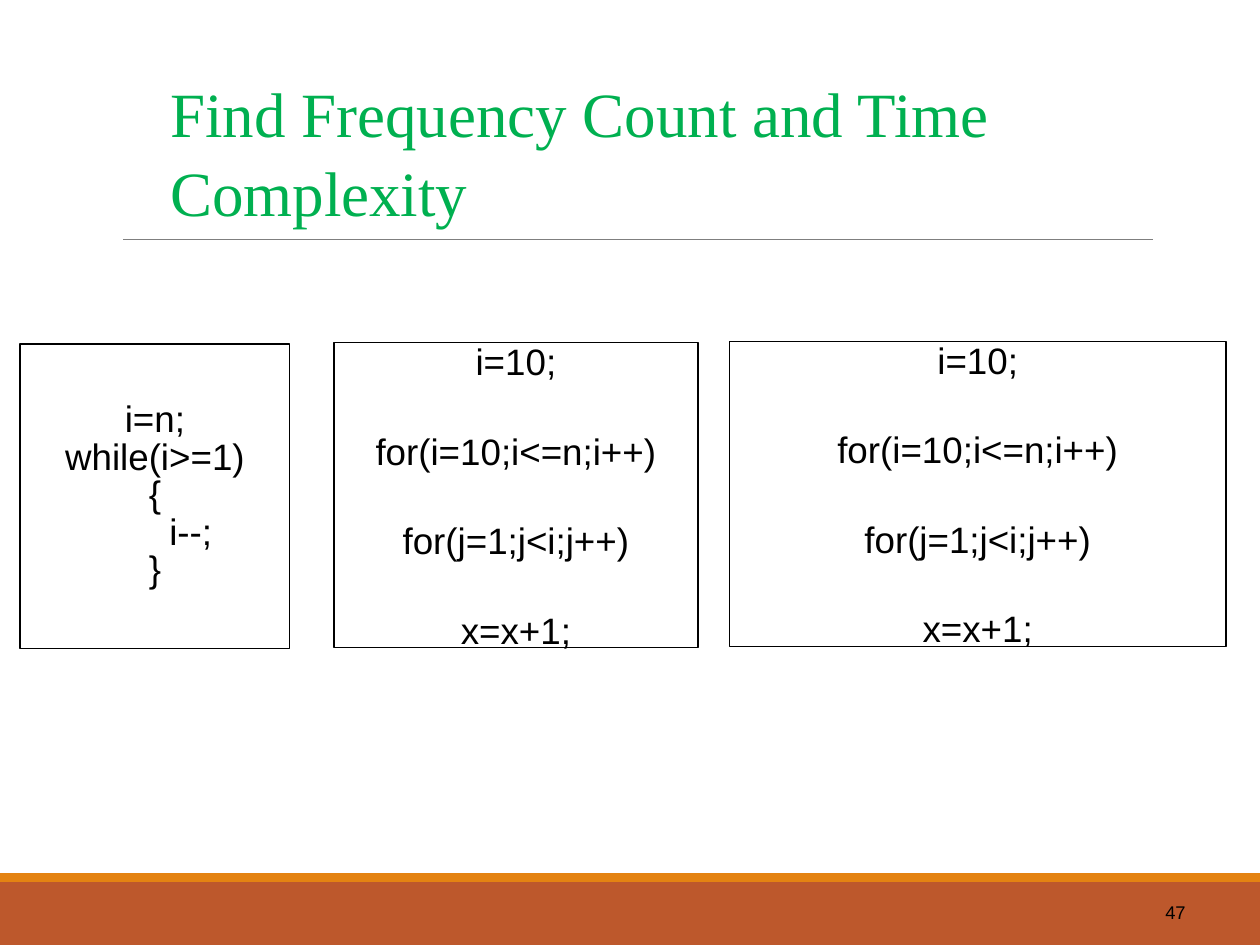
from lxml.etree import SubElement
from pptx import Presentation
from pptx.dml.color import RGBColor
from pptx.enum.shapes import MSO_CONNECTOR, MSO_SHAPE
from pptx.enum.text import MSO_ANCHOR, PP_ALIGN
from pptx.oxml.ns import qn
from pptx.util import Inches, Pt

COLORS = {"rust": "BD582C", "amber": "E48312", "rule": "7F7F7F",
          "green": "00B050", "ink": "000000", "paper": "FFFFFF"}
LOOP = ["i=10;", "for(i=10;i<=n;i++)", "for(j=1;j<i;j++)", "x=x+1;"]


def color(name):
    return RGBColor.from_string(COLORS[name])


def add_rect(slide, place, fill, line=None):
    rect = slide.shapes.add_shape(MSO_SHAPE.RECTANGLE, *map(Inches, place))
    rect.shadow.inherit = False
    rect.fill.solid()
    rect.fill.fore_color.rgb = color(fill)
    if line:
        rect.line.color.rgb = color(line)
        rect.line.width = Pt(0.75)
    else:
        rect.line.fill.background()
    return rect


def add_rule(slide, left, right, top):
    rule = slide.shapes.add_connector(
        MSO_CONNECTOR.STRAIGHT, *map(Inches, (left, top, right, top)))
    rule.line.color.rgb = color("rule")
    rule.line.width = Pt(0.75)
    SubElement(rule._element.spPr, qn("a:effectLst"))


def set_text(shape, lines, size, align, font="Arial", ink="ink",
             anchor=MSO_ANCHOR.MIDDLE, spacing=1.0, gap=0):
    """Fill the shape with one paragraph per line, gap points apart."""
    frame = shape.text_frame
    frame.word_wrap = True
    frame.vertical_anchor = anchor
    frame.margin_left = frame.margin_right = Inches(0.07)
    frame.margin_top = frame.margin_bottom = Inches(0.04)
    frame.text = "\n".join(lines)
    for index, para in enumerate(frame.paragraphs):
        para.alignment = align
        para.line_spacing = spacing
        para.space_before = Pt(gap if index else 0)
        for run in para.runs:
            run.font.size = Pt(size)
            run.font.name = font
            run.font.color.rgb = color(ink)


def add_label(slide, place, text, size, align, **style):
    box = slide.shapes.add_textbox(*map(Inches, place))
    set_text(box, [text], size, align, **style)


def add_code(slide, place, lines, **style):
    box = add_rect(slide, place, "paper", "ink")
    set_text(box, lines, 21, PP_ALIGN.CENTER, **style)
    return box


def indent(para, width):
    para._p.get_or_add_pPr().set("marL", str(width))


def main():
    deck = Presentation()
    deck.slide_width, deck.slide_height = Inches(10), Inches(7.5)
    slide = deck.slides.add_slide(deck.slide_layouts[6])

    add_rect(slide, (0, 7, 10, 0.5), "rust")
    add_rect(slide, (0, 6.93, 10, 0.07), "amber")
    add_rule(slide, 0.98, 9.15, 1.9)

    count = add_code(slide, (0.16, 2.73, 2.14, 2.42),
                     ["i=n;", "while(i>=1)", "{", "i--;", "}"], spacing=0.85)
    indent(count.text_frame.paragraphs[3], Pt(41))

    add_label(slide, (7.15, 7.11, 2.33, 0.39), "47", 10.5, PP_ALIGN.RIGHT,
              anchor=MSO_ANCHOR.TOP)
    add_label(slide, (1.28, 0.85, 9.02, 0.68),
              "Find Frequency Count and Time Complexity", 36, PP_ALIGN.LEFT,
              font="Times New Roman", ink="green", spacing=1.05)

    for left, top, width in ((2.65, 2.72, 2.89), (5.79, 2.71, 3.94)):
        add_code(slide, (left, top, width, 2.42), LOOP, gap=26)

    deck.save("out.pptx")


if __name__ == "__main__":
    main()
